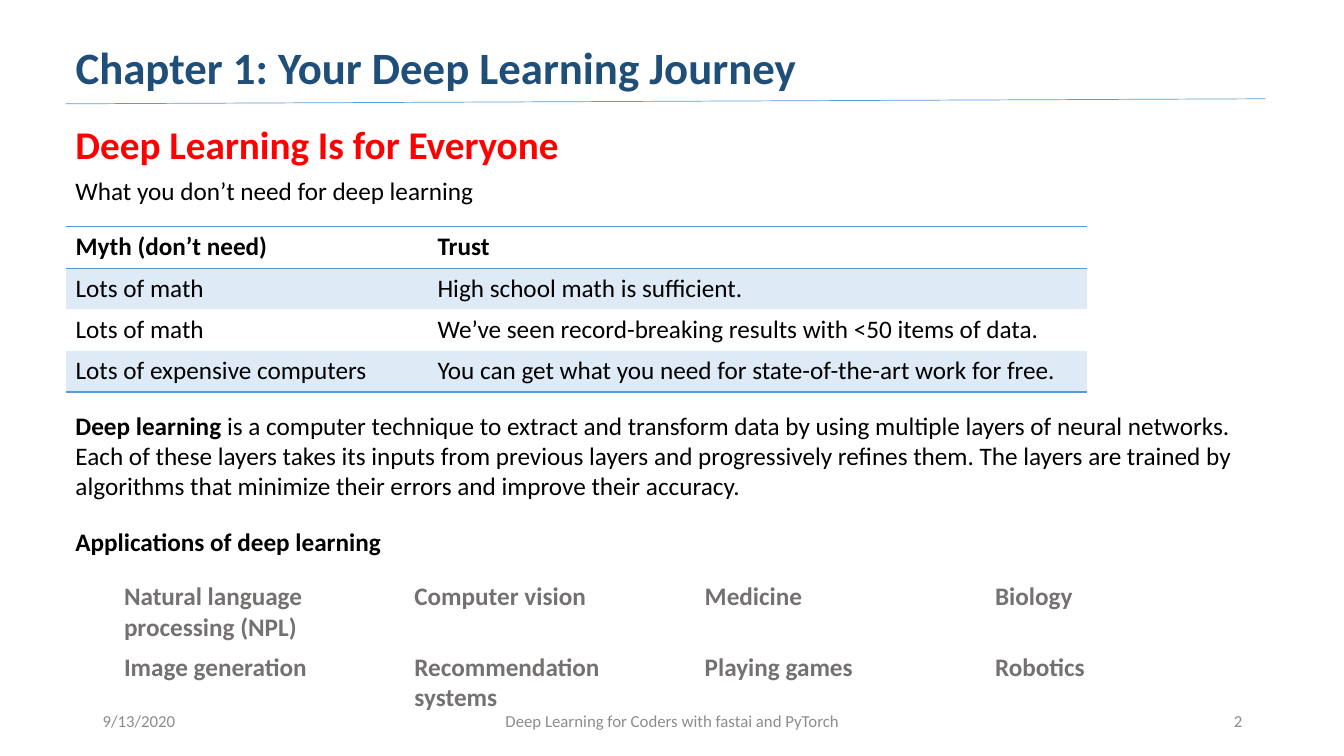
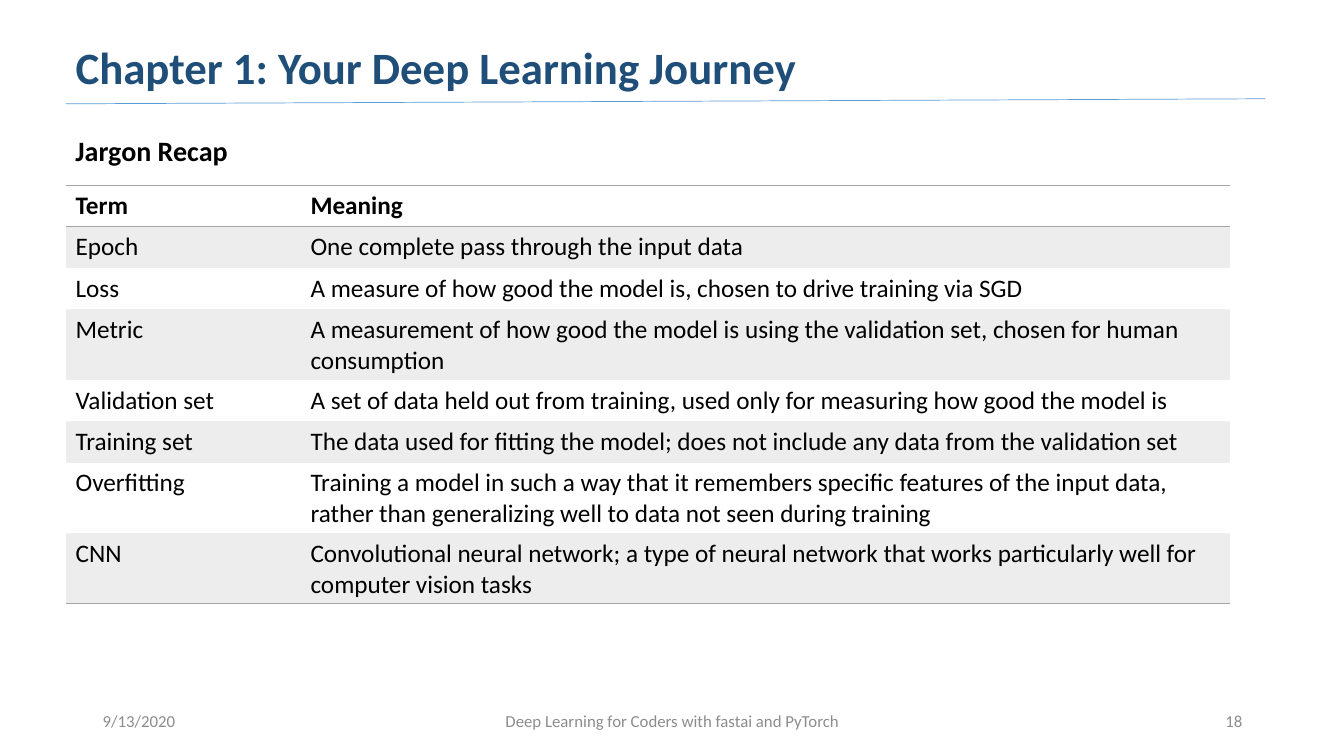
from dataclasses import dataclass

from lxml import etree
from pptx import Presentation
from pptx.dml.color import RGBColor
from pptx.enum.shapes import MSO_CONNECTOR
from pptx.enum.text import MSO_ANCHOR, MSO_AUTO_SIZE, PP_ALIGN
from pptx.oxml.ns import qn
from pptx.presentation import Presentation as Deck
from pptx.slide import Slide
from pptx.table import _Cell
from pptx.text.text import TextFrame
from pptx.util import Inches, Pt

LEFT, CENTER, RIGHT = PP_ALIGN.LEFT, PP_ALIGN.CENTER, PP_ALIGN.RIGHT
TOP, MIDDLE = MSO_ANCHOR.TOP, MSO_ANCHOR.MIDDLE
NO_AUTOFIT = MSO_AUTO_SIZE.NONE
STRAIGHT = MSO_CONNECTOR.STRAIGHT

NAVY = RGBColor(0x1F, 0x4E, 0x79)
RED = RGBColor(0xFF, 0x00, 0x00)
BLACK = RGBColor(0x00, 0x00, 0x00)
BLUE = RGBColor(0x5B, 0x9B, 0xD5)
PALE_BLUE = RGBColor(0xDE, 0xEB, 0xF7)
GRAY = RGBColor(0xA5, 0xA5, 0xA5)
PALE_GRAY = RGBColor(0xED, 0xED, 0xED)
DARK_GRAY = RGBColor(0x76, 0x71, 0x71)
FOOTER_GRAY = RGBColor(0x8C, 0x8C, 0x8C)

FONT = "Calibri"
BODY_SIZE = 18
MARGIN = 0.65
CONTENT_WIDTH = 11.89
ROW_HEIGHT = 0.41
TITLE_ONLY = 5
NO_STYLE_NO_GRID = "{2D5ABB26-0587-4C30-8999-92F81FD0307C}"

CHAPTER = "Chapter 1: Your Deep Learning Journey"
BOOK = "Deep Learning for Coders with fastai and PyTorch"
DATE = "9/13/2020"


@dataclass(frozen=True)
class Span:
    text: str
    size: float = BODY_SIZE
    color: RGBColor = BLACK
    bold: bool = False


@dataclass(frozen=True)
class Area:
    left: float
    top: float
    width: float
    height: float


@dataclass(frozen=True)
class Banding:
    rule: RGBColor
    band: RGBColor


BLUE_BANDING = Banding(BLUE, PALE_BLUE)
GRAY_BANDING = Banding(GRAY, PALE_GRAY)

MYTHS = [
    ("Myth (don’t need)", "Trust"),
    ("Lots of math", "High school math is sufficient."),
    ("Lots of math", "We’ve seen record-breaking results with <50 items of data."),
    ("Lots of expensive computers",
     "You can get what you need for state-of-the-art work for free."),
]
APPLICATIONS = [
    ("Natural language processing (NPL)", "Computer vision", "Medicine", "Biology"),
    ("Image generation", "Recommendation systems", "Playing games", "Robotics"),
]
JARGON = [
    ("Term", "Meaning"),
    ("Epoch", "One complete pass through the input data"),
    ("Loss", "A measure of how good the model is, chosen to drive training via SGD"),
    ("Metric", "A measurement of how good the model is using the validation set, "
               "chosen for human consumption"),
    ("Validation set", "A set of data held out from training, used only for "
                       "measuring how good the model is"),
    ("Training set", "The data used for fitting the model; does not include any "
                     "data from the validation set"),
    ("Overfitting", "Training a model in such a way that it remembers specific "
                    "features of the input data, rather than generalizing well to "
                    "data not seen during training"),
    ("CNN", "Convolutional neural network; a type of neural network that works "
            "particularly well for computer vision tasks"),
]


def write(frame: TextFrame, spans: list[Span], align: PP_ALIGN = LEFT) -> None:
    para = frame.paragraphs[0]
    para.alignment = align
    for span in spans:
        run = para.add_run()
        run.text = span.text
        run.font.name = FONT
        run.font.size = Pt(span.size)
        run.font.bold = span.bold
        run.font.color.rgb = span.color


def add_text(page: Slide, area: Area, spans: list[Span],
             align: PP_ALIGN = LEFT, anchor: MSO_ANCHOR = TOP) -> None:
    box = page.shapes.add_textbox(Inches(area.left), Inches(area.top),
                                  Inches(area.width), Inches(area.height))
    box.text_frame.word_wrap = True
    box.text_frame.vertical_anchor = anchor
    write(box.text_frame, spans, align)


def add_title(page: Slide) -> None:
    title = page.shapes.title
    title.left, title.top = Inches(MARGIN), Inches(0.34)
    title.width, title.height = Inches(CONTENT_WIDTH), Inches(0.64)
    title.text_frame.auto_size = NO_AUTOFIT
    title.text_frame.vertical_anchor = TOP
    write(title.text_frame, [Span(CHAPTER, 32, NAVY, True)])


def add_title_rule(page: Slide) -> None:
    rule = page.shapes.add_connector(STRAIGHT, Inches(MARGIN), Inches(1.03),
                                     Inches(12.55), Inches(0.98))
    rule.line.color.rgb = BLUE
    rule.line.width = Pt(0.5)
    etree.SubElement(rule._element.spPr, qn("a:effectLst"))


def add_footer(page: Slide, number: int) -> None:
    for text, left, width, align in ((DATE, 0.92, 3, LEFT),
                                     (BOOK, 4.42, 4.5, CENTER),
                                     (str(number), 9.42, 3, RIGHT)):
        add_text(page, Area(left, 6.95, width, 0.4),
                 [Span(text, 12, FOOTER_GRAY)], align, MIDDLE)


def add_page(deck: Deck, number: int) -> Slide:
    page = deck.slides.add_slide(deck.slide_layouts[TITLE_ONLY])
    add_title(page)
    add_title_rule(page)
    add_footer(page, number)
    return page


def set_borders(cell: _Cell, sides: list[str], color: RGBColor) -> None:
    """Draw the given sides ("a:lnT", "a:lnB"), which must precede the cell's fill."""
    properties = cell._tc.get_or_add_tcPr()
    for position, side in enumerate(sides):
        line = etree.Element(qn(side), w=str(Pt(1)))
        fill = etree.SubElement(line, qn("a:solidFill"))
        etree.SubElement(fill, qn("a:srgbClr"), val=str(color))
        properties.insert(position, line)


def style_banded_cell(cell: _Cell, row: int, last_row: int, banding: Banding) -> None:
    if row % 2:
        cell.fill.solid()
        cell.fill.fore_color.rgb = banding.band
    if row == 0:
        set_borders(cell, ["a:lnT", "a:lnB"], banding.rule)
    elif row == last_row:
        set_borders(cell, ["a:lnB"], banding.rule)


def add_table(page: Slide, left: float, top: float, widths: list[float],
              rows: list[tuple[str, ...]], banding: Banding | None = None) -> None:
    """With banding the first row is a header; without it all cells are bold gray."""
    frame = page.shapes.add_table(len(rows), len(widths), Inches(left), Inches(top),
                                  Inches(sum(widths)), Inches(ROW_HEIGHT * len(rows)))
    table = frame.table
    table.horz_banding = False
    table.first_row = banding is not None
    table._tbl.tblPr.find(qn("a:tableStyleId")).text = NO_STYLE_NO_GRID
    for column, width in zip(table.columns, widths):
        column.width = Inches(width)
    for row, texts in enumerate(rows):
        table.rows[row].height = Inches(ROW_HEIGHT)
        for column, text in enumerate(texts):
            cell = table.cell(row, column)
            if banding:
                span = Span(text, bold=row == 0)
                cell.fill.background()
                style_banded_cell(cell, row, len(rows) - 1, banding)
            else:
                span = Span(text, color=DARK_GRAY, bold=True)
                cell.fill.background()
            write(cell.text_frame, [span])


def build_everyone_page(deck: Deck) -> None:
    page = add_page(deck, 2)
    add_text(page, Area(MARGIN, 1.14, CONTENT_WIDTH, 0.57),
             [Span("Deep Learning Is for Everyone", 28, RED, True)])
    add_text(page, Area(MARGIN, 1.69, CONTENT_WIDTH, 0.4),
             [Span("What you don’t need for deep learning")])
    add_table(page, MARGIN, 2.25, [3.59, 6.54], MYTHS, BLUE_BANDING)
    add_text(page, Area(MARGIN, 4.02, CONTENT_WIDTH, 1.01), [
        Span("Deep learning ", bold=True),
        Span("is a computer technique to extract and transform data by using "
             "multiple layers of neural networks. Each of these layers takes its "
             "inputs from previous layers and progressively refines them. The "
             "layers are trained by algorithms that minimize their errors and "
             "improve their accuracy."),
    ])
    add_text(page, Area(MARGIN, 5.17, CONTENT_WIDTH, 0.4),
             [Span("Applications of deep learning", bold=True)])
    add_table(page, 1.13, 5.72, [2.88] * 4, APPLICATIONS)


def build_jargon_page(deck: Deck) -> None:
    page = add_page(deck, 18)
    add_text(page, Area(MARGIN, 1.28, CONTENT_WIDTH, 0.44),
             [Span("Jargon Recap", 20, bold=True)])
    add_table(page, MARGIN, 1.84, [2.33, 9.22], JARGON, GRAY_BANDING)


def main() -> None:
    deck = Presentation()
    deck.slide_width, deck.slide_height = Inches(13.33), Inches(7.5)
    build_everyone_page(deck)
    build_jargon_page(deck)
    deck.save("out.pptx")


if __name__ == "__main__":
    main()
